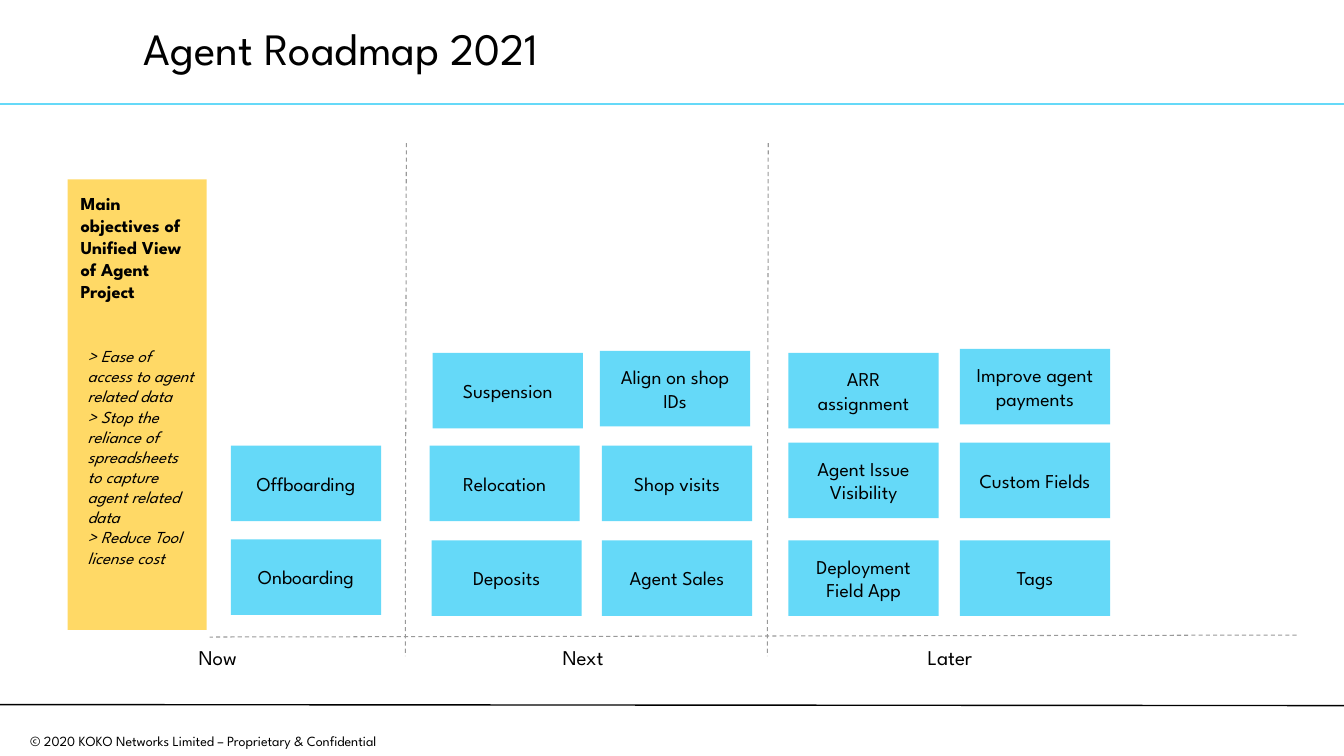
import pptx
import pptx.util
import pptx.dml.color
import pptx.enum.dml
import pptx.enum.shapes
import pptx.enum.text
import pptx.oxml.ns
import lxml.etree

PX = 9144
FONT = "League Spartan"
BLACK = pptx.dml.color.RGBColor(0x00, 0x00, 0x00)
GREY = pptx.dml.color.RGBColor(0x99, 0x99, 0x99)
SKY = pptx.dml.color.RGBColor(0x65, 0xD9, 0xF8)
AMBER = pptx.dml.color.RGBColor(0xFF, 0xD9, 0x66)
LEFT = pptx.enum.text.PP_ALIGN.LEFT
CENTER = pptx.enum.text.PP_ALIGN.CENTER
TOP = pptx.enum.text.MSO_ANCHOR.TOP
MIDDLE = pptx.enum.text.MSO_ANCHOR.MIDDLE
CARD_WIDTH, CARD_HEIGHT = 149, 75

OBJECTIVES = [
    "> Ease of access to agent related data",
    "> Stop the reliance of spreadsheets to capture agent related data",
    "> Reduce Tool license cost",
]
PHASES = [
    ("Now", (184, 142, 219, 509), 0, [
        (45, 300, "Offboarding"), (45, 393, "Onboarding")]),
    ("Next", (403, 142, 359, 509), 142, [
        (26, 208, "Suspension"), (192, 206, "Align on shop IDs"),
        (23, 300, "Relocation"), (194, 300, "Shop visits"),
        (25, 394, "Deposits"), (194, 394, "Agent Sales")]),
    ("Later", (762, 142, 524, 509), 145, [
        (20, 208, "ARR assignment"), (190, 204, "Improve agent payments"),
        (20, 297, "Agent Issue Visibility"), (190, 297, "Custom Fields"),
        (20, 394, "Deployment Field App"), (190, 394, "Tags")]),
]


def scaled(lengths):
    """Turn px lengths into EMU."""
    return [length * PX for length in lengths]


def write(shape, lines, size, align=LEFT, anchor=TOP, inset=13, bold=False, italic=False):
    """Fill a shape with one paragraph per line and return its text frame."""
    frame = shape.text_frame
    frame.word_wrap = True
    frame.vertical_anchor = anchor
    frame.margin_left = frame.margin_right = inset * PX
    frame.margin_top = frame.margin_bottom = min(inset, 13) * PX if inset > 10 else 5 * PX
    frame.text = "\n".join(lines)
    for para in frame.paragraphs:
        para.alignment = align
        para.font.name = FONT
        para.font.size = pptx.util.Pt(size)
        para.font.bold = bold
        para.font.italic = italic
        para.font.color.rgb = BLACK
    return frame


def add_text(page, box, lines, size, **style):
    """Add a text box and return its text frame."""
    return write(page.shapes.add_textbox(*scaled(box)), lines, size, **style)


def add_block(page, box, color):
    """Add a plain filled rectangle."""
    kind = pptx.enum.shapes.MSO_SHAPE.RECTANGLE
    block = page.shapes.add_shape(kind, *scaled(box))
    block.shadow.inherit = False
    block.fill.solid()
    block.fill.fore_color.rgb = color
    block.line.fill.background()
    return block


def add_line(page, ends, color, width, dashed=False):
    """Add a straight line between two points."""
    kind = pptx.enum.shapes.MSO_CONNECTOR.STRAIGHT
    line = page.shapes.add_connector(kind, *scaled(ends))
    line.line.color.rgb = color
    line.line.width = pptx.util.Pt(width)
    if dashed:
        line.line.dash_style = pptx.enum.dml.MSO_LINE.DASH
    properties = line._element.spPr
    lxml.etree.SubElement(properties, pptx.oxml.ns.qn("a:effectLst"))


def add_header(page, box):
    """Place the title above its rule."""
    left, top, width, height = box
    add_line(page, (left, top + height, left + width, top + height), SKY, 1.5)
    frame = add_text(page, (left + 133, top, width - 134, height - 2),
                     ["Agent Roadmap 2021"], 32, anchor=MIDDLE, inset=10)
    frame.paragraphs[0].line_spacing = 0.9


def add_footer(page, box):
    """Place the rule and the copyright line below it."""
    left, top, width, height = box
    add_line(page, (left, top, left + width, top + 1), BLACK, 1)
    add_text(page, (left, top + 23, 403, height - 23),
             ["© 2020 KOKO Networks Limited – Proprietary & Confidential"],
             10, align=CENTER, inset=10)


def add_objectives(page, box):
    """Place the panel with the project objectives."""
    left, top, width, height = box
    add_block(page, box, AMBER)
    add_text(page, (left + 7, top + 152, width - 6, 185), OBJECTIVES, 12, italic=True)
    add_text(page, (left, top, width, 101),
             ["Main objectives of Unified View of Agent Project"], 13, bold=True)


def add_phase(page, box, name, name_offset, cards):
    """Place the cards of one phase and its name below them."""
    left, top, width, height = box
    add_text(page, (left + name_offset, top + 485, 110, 27), [name], 15)
    for across, down, label in cards:
        card = add_block(page, (left + across, top + down, CARD_WIDTH, CARD_HEIGHT), SKY)
        write(card, [label], 14, align=CENTER, anchor=MIDDLE)


def add_roadmap(page, box):
    """Place the time axis, the dividers and the phases."""
    left, top, width, height = box
    add_line(page, (left + width, top + 488, left, top + 490), GREY, 0.75, dashed=True)
    for name, phase_box, name_offset, cards in PHASES:
        if phase_box[0] > left:
            start = phase_box[0]
            add_line(page, (start, top, start - 1, top + height), GREY, 0.75, dashed=True)
        add_phase(page, phase_box, name, name_offset, cards)


def main():
    """Build the deck and save it."""
    deck = pptx.Presentation()
    deck.slide_width, deck.slide_height = scaled((1333, 750))
    page = deck.slides.add_slide(deck.slide_layouts[6])
    add_header(page, (0, 0, 1334, 103))
    add_footer(page, (0, 699, 1334, 51))
    add_roadmap(page, (208, 142, 1078, 509))
    add_objectives(page, (67, 178, 138, 447))
    deck.save("out.pptx")


if __name__ == "__main__":
    main()
